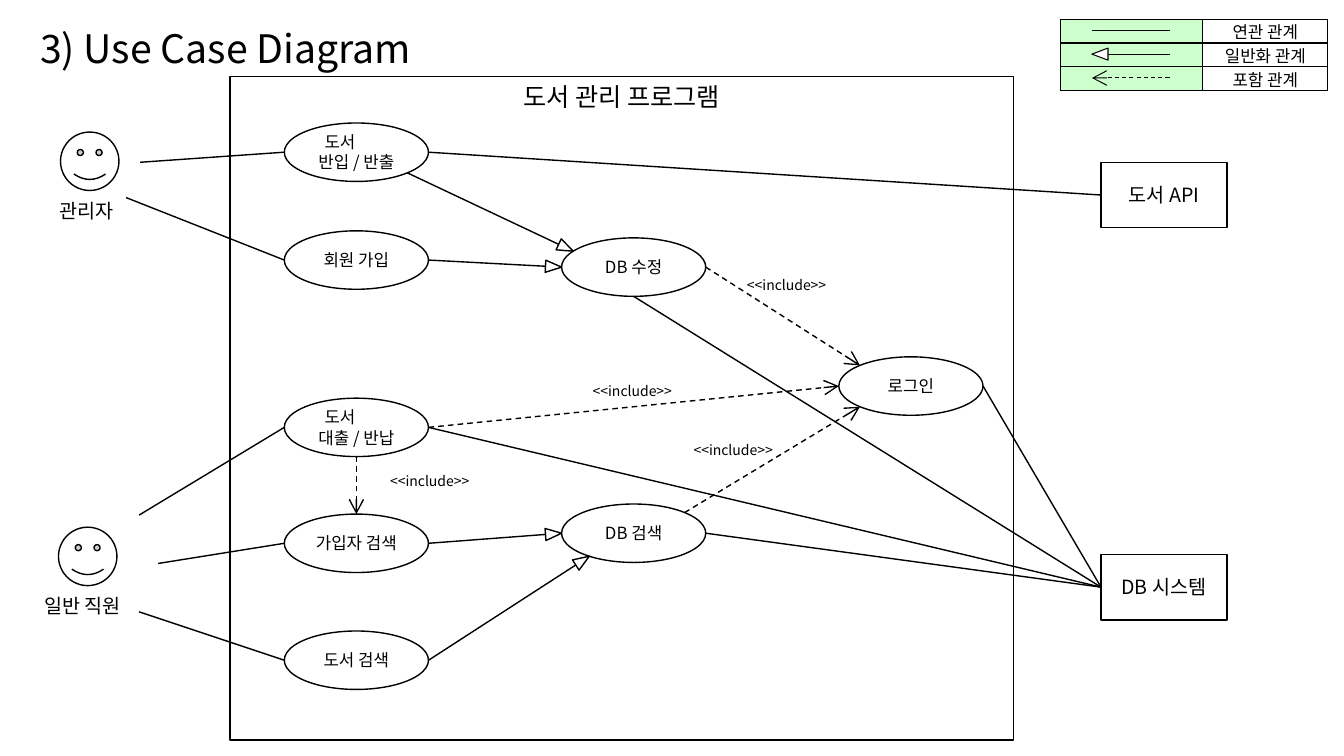
from math import atan2, cos, degrees, radians, sin

from lxml.etree import SubElement
from pptx import Presentation
from pptx.dml.color import RGBColor
from pptx.enum.dml import MSO_LINE
from pptx.enum.shapes import MSO_CONNECTOR, MSO_SHAPE
from pptx.enum.text import MSO_ANCHOR, MSO_AUTO_SIZE, PP_ALIGN
from pptx.oxml.ns import qn
from pptx.util import Inches, Pt

COLORS = {"ink": "000000", "paper": "FFFFFF", "legend": "CCFFCC"}
FONT = "Noto Sans CJK KR"
COLUMNS, ROWS = 133.3, 75
EAST, SOUTH_EAST, SOUTH, SOUTH_WEST = 0, 45, 90, 135
WEST, NORTH_WEST, NORTH, NORTH_EAST = 180, 225, 270, 315
OVAL_WIDTH, OVAL_HEIGHT = 14.3, 5.8
HEAD_WIDTH, HEAD_LENGTH = 1.2, 1.6


def cells(*counts):
    return [Inches(count / 10) for count in counts]


def color(name):
    return RGBColor.from_string(COLORS[name])


def rim(center, angle):
    x, y = center
    return (x + OVAL_WIDTH / 2 * cos(radians(angle)),
            y + OVAL_HEIGHT / 2 * sin(radians(angle)))


class Diagram:
    def __init__(self):
        self.deck = Presentation()
        self.deck.slide_width, self.deck.slide_height = cells(COLUMNS, ROWS)
        self.page = self.deck.slides.add_slide(self.deck.slide_layouts[6])

    def style_text(self, para, size, align=PP_ALIGN.CENTER):
        para.alignment = align
        for span in para.runs:
            span.font.size = Pt(size)
            span.font.color.rgb = color("ink")
            span.font.name = FONT
            SubElement(span.font._element, qn("a:ea"), typeface=FONT)

    def shape(self, kind, bounds, weight=1, parent=None):
        shape = (parent or self.page).shapes.add_shape(kind, *cells(*bounds))
        shape.shadow.inherit = False
        shape.fill.solid()
        shape.fill.fore_color.rgb = color("paper")
        shape.line.color.rgb = color("ink")
        shape.line.width = Pt(weight)
        return shape

    def label(self, text, bounds, size, parent=None):
        box = (parent or self.page).shapes.add_textbox(*cells(*bounds))
        frame = box.text_frame
        frame.text = text
        frame.word_wrap = False
        frame.auto_size = MSO_AUTO_SIZE.SHAPE_TO_FIT_TEXT
        self.style_text(frame.paragraphs[0], size, PP_ALIGN.LEFT)

    def captioned(self, kind, text, bounds, size):
        shape = self.shape(kind, bounds)
        frame = shape.text_frame
        frame.text = text
        frame.vertical_anchor = MSO_ANCHOR.MIDDLE
        frame.margin_left = frame.margin_right = Inches(0.04)
        frame.margin_top = frame.margin_bottom = 0
        for para in frame.paragraphs:
            self.style_text(para, size)
        return shape

    def boundary(self, text, bounds):
        shape = self.shape(MSO_SHAPE.RECTANGLE, bounds)
        shape.text_frame.text = text
        shape.text_frame.vertical_anchor = MSO_ANCHOR.TOP
        self.style_text(shape.text_frame.paragraphs[0], 18)

    def system(self, text, top):
        return self.captioned(MSO_SHAPE.RECTANGLE, text, (109.2, top, 12.5, 6.5), 14)

    def use_case(self, text, center):
        x, y = center
        bounds = (x - OVAL_WIDTH / 2, y - OVAL_HEIGHT / 2, OVAL_WIDTH, OVAL_HEIGHT)
        oval = self.captioned(MSO_SHAPE.OVAL, text, bounds, 12)
        paras = oval.text_frame.paragraphs
        if len(paras) > 1:
            paras[0].alignment = PP_ALIGN.LEFT
            paras[0]._p.get_or_add_pPr().set("marL", str(Inches(0.15)))

    def actor(self, name, left, top, label_width):
        group = self.page.shapes.add_group_shape()
        face = 5.8
        self.shape(MSO_SHAPE.SMILEY_FACE, (left, top, face, face), parent=group)
        label_left = left + (face - label_width) / 2
        self.label(name, (label_left, top + 6.1, label_width, 3.4), 14, group)

    def association(self, start, end, weight=1):
        joined = not isinstance(end, tuple)
        finish = start if joined else end
        line = self.page.shapes.add_connector(
            MSO_CONNECTOR.STRAIGHT, *cells(*start, *finish))
        if joined:
            line.end_connect(end, 1)
        line.line.color.rgb = color("ink")
        line.line.width = Pt(weight)
        SubElement(line._element.spPr, qn("a:effectLst"))
        return line

    def include(self, start, end, weight=1):
        line = self.association(start, end, weight).line
        line.dash_style = MSO_LINE.DASH
        SubElement(line._get_or_add_ln(), qn("a:tailEnd"),
                   type="arrow", w="lg", len="lg")

    def generalization(self, start, tip, weight=1):
        angle = atan2(tip[1] - start[1], tip[0] - start[0])
        across, down = cos(angle), sin(angle)
        self.association(
            start, (tip[0] - HEAD_LENGTH * across, tip[1] - HEAD_LENGTH * down), weight)
        x = tip[0] - HEAD_LENGTH / 2 * across
        y = tip[1] - HEAD_LENGTH / 2 * down
        bounds = (x - HEAD_WIDTH / 2, y - HEAD_LENGTH / 2, HEAD_WIDTH, HEAD_LENGTH)
        head = self.shape(MSO_SHAPE.ISOSCELES_TRIANGLE, bounds, weight)
        head.rotation = degrees(angle) + 90

    def legend(self, names, bounds, widths):
        table = self.page.shapes.add_table(
            len(names), len(widths), *cells(*bounds)).table
        for column, width in zip(table.columns, cells(*widths)):
            column.width = width
        for row, name in enumerate(names):
            for column, (text, fill) in enumerate((("", "legend"), (name, "paper"))):
                self.legend_cell(table.cell(row, column), text, fill)

    def legend_cell(self, cell, text, fill):
        cell.text_frame.text = text
        cell.vertical_anchor = MSO_ANCHOR.MIDDLE
        cell.margin_left = cell.margin_right = Inches(0.02)
        cell.margin_top = cell.margin_bottom = 0
        para = cell.text_frame.paragraphs[0]
        self.style_text(para, 12)
        if not text:
            SubElement(para._p, qn("a:endParaRPr"), sz="1200")
        properties = cell._tc.get_or_add_tcPr()
        for side in ("lnL", "lnR", "lnT", "lnB"):
            border = SubElement(properties, qn(f"a:{side}"), w=str(Pt(1)))
            solid = SubElement(border, qn("a:solidFill"))
            SubElement(solid, qn("a:srgbClr"), val=COLORS["ink"])
        cell.fill.solid()
        cell.fill.fore_color.rgb = color(fill)


def main():
    diagram = Diagram()
    diagram.boundary("도서 관리 프로그램", (22.8, 7.6, 77.7, 65.8))
    diagram.label("3) Use Case Diagram", (3, 1.9, 39.5, 5.7), 28)

    left, middle, right = (35.35 + 27.5 * step for step in range(3))
    stock, join = (left, 15.1), (left, 25.8)
    loan, member_search, book_search = (left, 42.4), (left, 53.9), (left, 65.5)
    update, search, login = (middle, 26.5), (middle, 52.9), (right, 38.3)
    for text, center in (
            ("도서\n반입 / 반출", stock), ("회원 가입", join),
            ("도서\n대출 / 반납", loan), ("가입자 검색", member_search),
            ("도서 검색", book_search), ("DB 수정", update),
            ("DB 검색", search), ("로그인", login)):
        diagram.use_case(text, center)

    diagram.actor("관리자", 6, 13.1, 7.9)
    diagram.actor("일반 직원", 5.8, 52.3, 10.6)
    book_api = diagram.system("도서 API", 16.1)
    database = diagram.system("DB 시스템", 55)

    for hand, center in (
            ((13.9, 16.1), stock), ((12.5, 19.6), join), ((13.8, 51.1), loan),
            ((15.7, 55.9), member_search), ((13.8, 60.7), book_search)):
        diagram.association(hand, rim(center, WEST))
    diagram.association(rim(stock, EAST), book_api)
    for center, side in ((update, SOUTH), (login, EAST), (loan, EAST), (search, EAST)):
        diagram.association(rim(center, side), database)

    for source, side, target, angle in (
            (stock, SOUTH_EAST, update, 213), (join, EAST, update, WEST),
            (member_search, EAST, search, WEST), (book_search, EAST, search, 128)):
        diagram.generalization(rim(source, side), rim(target, angle))

    for source, side, target, angle, spot in (
            (update, EAST, login, NORTH_WEST, (73.1, 26.9)),
            (loan, EAST, login, WEST, (57.8, 37.5)),
            (search, NORTH_EAST, login, SOUTH_WEST, (67.8, 43.3)),
            (loan, SOUTH, member_search, NORTH, (37.7, 46.4))):
        diagram.include(rim(source, side), rim(target, angle))
        diagram.label("<<include>>", (*spot, 10.5, 2.7), 10)

    samples = (("연관 관계", diagram.association), ("일반화 관계", diagram.generalization),
               ("포함 관계", diagram.include))
    diagram.legend([name for name, draw in samples], (105.2, 1.9, 26.5, 7.1), (14.1, 12.4))
    for row, (name, draw) in enumerate(samples):
        y = 3 + 2.37 * row
        draw((116, y), (108.3, y), 0.75)

    diagram.deck.save("out.pptx")


if __name__ == "__main__":
    main()
